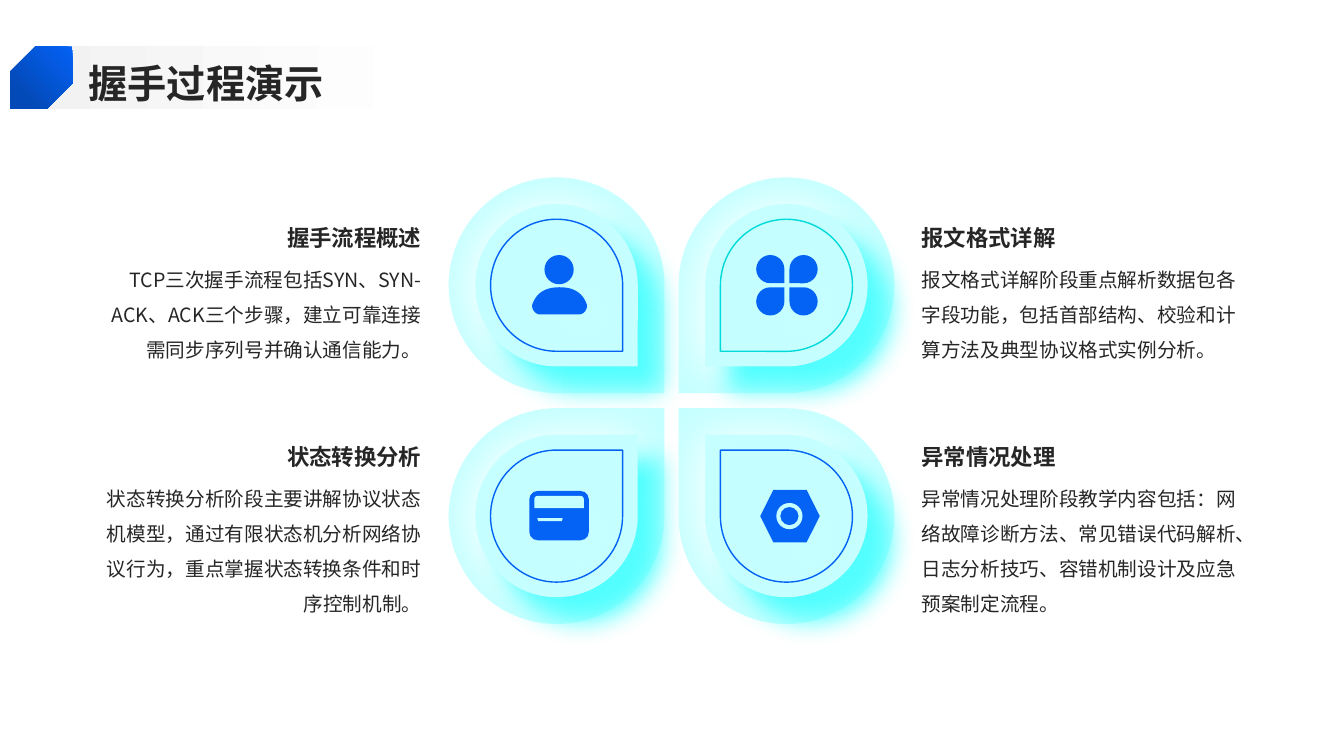
from lxml.etree import SubElement
from pptx import Presentation
from pptx.dml.color import RGBColor
from pptx.enum.shapes import MSO_SHAPE as SHAPE
from pptx.enum.text import MSO_ANCHOR as ANCHOR, PP_ALIGN as ALIGN
from pptx.oxml.ns import qn
from pptx.util import Inches, Pt

FONT = "Noto Sans CJK SC"
INK, BLUE, TEAL, PALE, GLOW, WHITE = "262626", "0462F5", "00DADA", "C5FFFF", "50FFFF", "FFFFFF"
PETAL = 2.14
PETAL_LEFT, PETAL_TOP = 4.45, 1.76
PETAL_PITCH_X, PETAL_PITCH_Y = 2.28, 2.29
TEXT_LEFTS = (1.02, 9.14)
TEXT_TOP, TEXT_PITCH, TEXT_WIDTH = 2.18, 2.17, 3.16
# Turns a teardrop so that its tip faces the centre, by (row, column)
TIP_ROTATION = {(0, 0): 90, (0, 1): 180, (1, 0): 0, (1, 1): 270}


def color(hex_string):
    return RGBColor.from_string(hex_string)


def add_shape(slide, kind, left, top, width, height, fill=None, line=None, rotation=0):
    shape = slide.shapes.add_shape(kind, Inches(left), Inches(top), Inches(width), Inches(height))
    shape.rotation = rotation
    return paint(shape, fill, line)


def paint(shape, fill=None, line=None):
    shape.shadow.inherit = False
    if fill:
        shape.fill.solid()
        shape.fill.fore_color.rgb = color(fill)
    else:
        shape.fill.background()
    if line:
        shape.line.color.rgb = color(line)
        shape.line.width = Pt(1)
    else:
        shape.line.fill.background()
    return shape


def add_shadow(shape, hex_string, blur, distance, angle):
    effects = shape._element.spPr.find(qn("a:effectLst"))
    shadow = SubElement(effects, qn("a:outerShdw"), blurRad=str(Pt(blur)), dist=str(Pt(distance)),
                        dir=str(angle * 60000), algn="ctr", rotWithShape="0")
    SubElement(shadow, qn("a:srgbClr"), val=hex_string)


def fill_gradient(shape, start, end, angle):
    shape.fill.gradient()
    shape.fill.gradient_angle = angle
    for stop, hex_string, position in zip(shape.fill.gradient_stops, (start, end), (0, 0.8)):
        stop.color.rgb = color(hex_string)
        stop.position = position


def write(shape, text, size, bold=False, align=ALIGN.LEFT, anchor=ANCHOR.TOP, spacing=1.5):
    frame = shape.text_frame
    frame.word_wrap = True
    frame.vertical_anchor = anchor
    frame.margin_left = frame.margin_right = frame.margin_top = frame.margin_bottom = 0
    frame.text = text
    paragraph = frame.paragraphs[0]
    paragraph.alignment = align
    paragraph.line_spacing = spacing
    paragraph.space_before = Pt(0)
    run = paragraph.runs[0]
    run.font.size = Pt(size)
    run.font.bold = bold
    run.font.color.rgb = color(INK)
    run.font.name = FONT
    properties = run._r.get_or_add_rPr()
    properties.set("lang", "zh-CN")
    SubElement(properties, qn("a:ea"), typeface=FONT)


def bezier(start, control_1, control_2, end, steps=16):
    for step in range(1, steps + 1):
        t = step / steps
        weights = ((1 - t) ** 3, 3 * t * (1 - t) ** 2, 3 * t * t * (1 - t), t ** 3)
        points = (start, control_1, control_2, end)
        yield tuple(sum(w * p[axis] for w, p in zip(weights, points)) for axis in (0, 1))


def draw_person(slide, left, top):
    middle = left + 0.28
    add_shape(slide, SHAPE.OVAL, middle - 0.15, top, 0.29, 0.29, BLUE)
    right_half = [(0, 0.32),
                  *bezier((0, 0.32), (0.18, 0.32), (0.24, 0.41), (0.27, 0.49)),
                  *bezier((0.27, 0.49), (0.28, 0.54), (0.24, 0.59), (0.19, 0.59))]
    outline = right_half + [(-x, y) for x, y in reversed(right_half)]
    points = [(Inches(middle + x), Inches(top + y)) for x, y in outline]
    builder = slide.shapes.build_freeform(*points[0])
    builder.add_line_segments(points[1:], close=True)
    paint(builder.convert_to_shape(), BLUE)


def draw_clover(slide, left, top):
    for (row, column), rotation in TIP_ROTATION.items():
        add_shape(slide, SHAPE.TEAR, left + column * 0.33, top + row * 0.32,
                  0.28, 0.28, BLUE, rotation=rotation)


def draw_card(slide, left, top):
    card = add_shape(slide, SHAPE.ROUNDED_RECTANGLE, left, top, 0.59, 0.49, BLUE)
    card.adjustments[0] = 0.17
    stripe = add_shape(slide, SHAPE.ROUND_2_SAME_RECTANGLE, left + 0.05, top + 0.05, 0.49, 0.12, PALE)
    stripe.adjustments[0] = 0.25
    add_shape(slide, SHAPE.TRAPEZOID, left + 0.08, top + 0.27, 0.25, 0.03, PALE, rotation=180)


def draw_nut(slide, left, top):
    add_shape(slide, SHAPE.HEXAGON, left, top, 0.59, 0.52, BLUE)
    ring = add_shape(slide, SHAPE.DONUT, left + 0.16, top + 0.13, 0.26, 0.26, PALE)
    ring.adjustments[0] = 0.15


def draw_petal(slide, left, top, rotation, line):
    def layer(inset, fill=None, line=None):
        side = PETAL - 2 * inset
        return add_shape(slide, SHAPE.TEAR, left + inset, top + inset, side, side, fill, line, rotation)

    layer(0, PALE)
    add_shadow(layer(0.265, PALE), WHITE, 32, 3, 180)
    add_shadow(layer(0.265, PALE), GLOW, 18, 24, 45)
    add_shadow(layer(0.415, line=line), WHITE, 34, 24, 45)


def draw_caption(slide, left, top, heading, body, align):
    box = slide.shapes.add_textbox(Inches(left), Inches(top), Inches(TEXT_WIDTH), Inches(0.31))
    write(box, heading, 16, True, align, ANCHOR.BOTTOM)
    box = slide.shapes.add_textbox(Inches(left), Inches(top + 0.36), Inches(TEXT_WIDTH), Inches(1.54))
    write(box, body, 14, align=align)


def draw_title(slide, text, left, top):
    band = add_shape(slide, SHAPE.RECTANGLE, left + 0.23, top, 4.92, 0.62, WHITE)
    fill_gradient(band, "F2F2F2", WHITE, 0)
    title = slide.shapes.title
    title.left, title.top = Inches(left + 0.78), Inches(top + 0.08)
    title.width, title.height = Inches(11.88), Inches(0.51)
    write(title, text, 28, True, anchor=ANCHOR.MIDDLE, spacing=1.1)
    band._element.addnext(title._element)
    badge = add_shape(slide, SHAPE.SNIP_2_DIAG_RECTANGLE, left, top, 0.62, 0.62, BLUE)
    badge.adjustments[0], badge.adjustments[1] = 0.408, 0
    fill_gradient(badge, BLUE, "034AB8", 225)


# row, column, line colour, icon, icon offset in the petal, heading, body
TOPICS = [
    (0, 0, BLUE, draw_person, (0.82, 0.77), "握手流程概述",
     "TCP三次握手流程包括SYN、SYN-ACK、ACK三个步骤，建立可靠连接需同步序列号并确认通信能力。"),
    (0, 1, TEAL, draw_clover, (0.77, 0.77), "报文格式详解",
     "报文格式详解阶段重点解析数据包各字段功能，包括首部结构、校验和计算方法及典型协议格式实例分析。"),
    (1, 0, BLUE, draw_card, (0.8, 0.82), "状态转换分析",
     "状态转换分析阶段主要讲解协议状态机模型，通过有限状态机分析网络协议行为，重点掌握状态转换条件和时序控制机制。"),
    (1, 1, BLUE, draw_nut, (0.81, 0.81), "异常情况处理",
     "异常情况处理阶段教学内容包括：网络故障诊断方法、常见错误代码解析、日志分析技巧、容错机制设计及应急预案制定流程。"),
]


def main():
    presentation = Presentation()
    presentation.slide_width, presentation.slide_height = Inches(13.33), Inches(7.5)
    slide = presentation.slides.add_slide(presentation.slide_layouts[5])
    for row, column, line, draw_icon, (icon_x, icon_y), heading, body in TOPICS:
        left = PETAL_LEFT + column * PETAL_PITCH_X
        top = PETAL_TOP + row * PETAL_PITCH_Y
        draw_petal(slide, left, top, TIP_ROTATION[row, column], line)
        draw_icon(slide, left + icon_x, top + icon_y)
        draw_caption(slide, TEXT_LEFTS[column], TEXT_TOP + row * TEXT_PITCH, heading, body,
                     (ALIGN.RIGHT, ALIGN.LEFT)[column])
    draw_title(slide, "握手过程演示", 0.1, 0.46)
    presentation.save("out.pptx")


if __name__ == "__main__":
    main()
